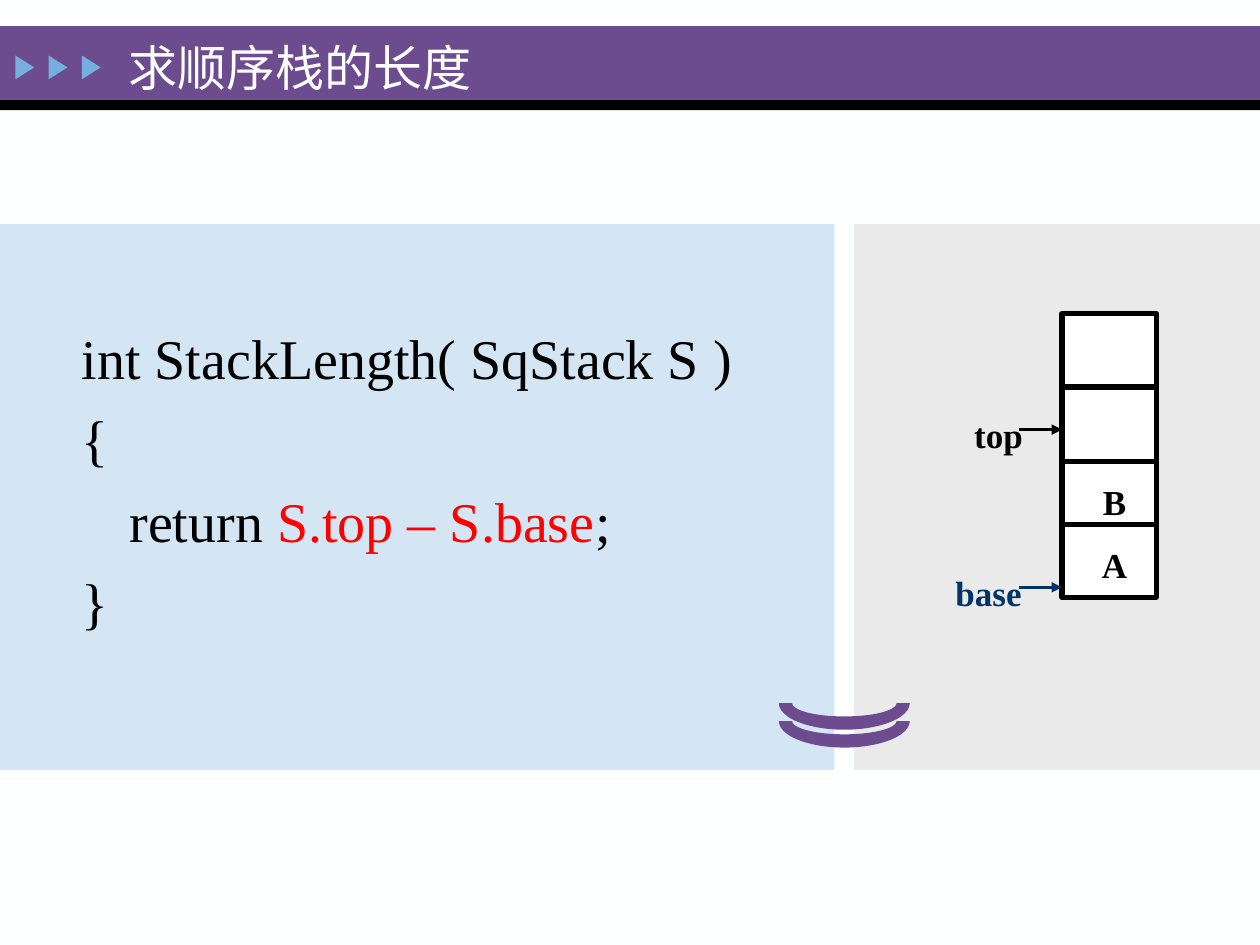
from lxml.etree import SubElement
from pptx import Presentation
from pptx.dml.color import RGBColor
from pptx.enum.shapes import MSO_CONNECTOR, MSO_SHAPE
from pptx.enum.text import MSO_ANCHOR, PP_ALIGN
from pptx.oxml.ns import qn
from pptx.util import Cm, Pt

FONT = "Times New Roman"
WHITE = RGBColor(0xFF, 0xFF, 0xFF)
PAPER = RGBColor(0xFE, 0xFF, 0xFF)
BLACK = RGBColor(0x00, 0x00, 0x00)
PURPLE = RGBColor(0x6C, 0x4C, 0x8F)
SKY = RGBColor(0x76, 0xAE, 0xDD)
PALE_BLUE = RGBColor(0xD4, 0xE6, 0xF4)
GREY = RGBColor(0xEA, 0xEA, 0xEA)
RED = RGBColor(0xFF, 0x00, 0x00)
NAVY = RGBColor(0x00, 0x33, 0x66)

# Content
TITLE = "求顺序栈的长度"
CODE = [  # (indent in cm, runs)
    (0, [("int StackLength( SqStack S )", BLACK)]),
    (0, [("{", BLACK)]),
    (0.96, [("return ", BLACK), ("S.top – S.base", RED), (";", BLACK)]),
    (0, [("}", BLACK)]),
]
SLOTS = [(1.48, ""), (1.5, ""), (1.27, "B"), (1.47, "A")]  # height in cm, element
POINTERS = [("base", NAVY, 18.24, 11.84), ("top", BLACK, 18.44, 8.66)]  # label left, arrow y

SLIDE_W, SLIDE_H = 25.4, 19.05
STACK_X, STACK_Y, STACK_W = 21.41, 6.32, 1.9
ARROW_X = 20.55

prs = Presentation()
prs.slide_width, prs.slide_height = Cm(SLIDE_W), Cm(SLIDE_H)
slide = prs.slides.add_slide(prs.slide_layouts[5])
slide.background.fill.solid()
slide.background.fill.fore_color.rgb = PAPER


def add_block(kind, x, y, w, h, color, rotation=0):
    block = slide.shapes.add_shape(kind, Cm(x), Cm(y), Cm(w), Cm(h))
    block.shadow.inherit = False
    block.fill.solid()
    block.fill.fore_color.rgb = color
    block.line.fill.background()
    block.rotation = rotation
    return block


def add_line(x1, y1, x2, y2, color, width, arrow=False):
    line = slide.shapes.add_connector(
        MSO_CONNECTOR.STRAIGHT, Cm(x1), Cm(y1), Cm(x2), Cm(y2))
    line.line.color.rgb = color
    line.line.width = Pt(width)
    if arrow:
        SubElement(line.line._get_or_add_ln(), qn("a:tailEnd"), type="triangle")
    SubElement(line._element.spPr, qn("a:effectLst"))


def add_run(paragraph, text, size, color, bold=False):
    run = paragraph.add_run()
    run.text = text
    run.font.name = FONT
    run.font.size = Pt(size)
    run.font.bold = bold
    run.font.color.rgb = color


def add_frame(x, y, w, h):
    frame = slide.shapes.add_textbox(Cm(x), Cm(y), Cm(w), Cm(h)).text_frame
    frame.word_wrap = True
    return frame


def add_label(text, x, y, w, color):
    paragraph = add_frame(x, y, w, 1.09).paragraphs[0]
    paragraph.alignment = PP_ALIGN.CENTER
    add_run(paragraph, text, 20, color, bold=True)


# Header band
add_block(MSO_SHAPE.RECTANGLE, 0, 0.53, SLIDE_W, 1.5, PURPLE)
add_block(MSO_SHAPE.RECTANGLE, 0, 2.02, SLIDE_W, 0.2, BLACK)
for i in range(3):
    add_block(MSO_SHAPE.ISOSCELES_TRIANGLE, 0.26 + 0.67 * i, 1.17, 0.48, 0.38, SKY, 90)

# Panels and the double arc that joins them
for left, width, color in [(0, 16.82, PALE_BLUE), (17.22, 8.18, GREY)]:
    add_block(MSO_SHAPE.RECTANGLE, left, 4.52, width, 11, color)
for top in (14, 13.64):
    add_block(MSO_SHAPE.BLOCK_ARC, 15.7, top, 2.64, 1.07, PURPLE, 180)

# Title, raised above the band
title = slide.shapes.title
title.left, title.top, title.width, title.height = Cm(2.34), Cm(0.71), Cm(17.78), Cm(1.27)
title.text_frame.vertical_anchor = MSO_ANCHOR.MIDDLE
heading = title.text_frame.paragraphs[0]
heading.alignment = PP_ALIGN.LEFT
add_run(heading, TITLE, 28, PAPER)
slide.shapes._spTree.append(title._element)

# Code
code = add_frame(1.4, 6.4, 14.91, 6.4)
for i, (indent, runs) in enumerate(CODE):
    paragraph = code.add_paragraph() if i else code.paragraphs[0]
    paragraph._p.get_or_add_pPr().set("marL", str(Cm(indent)))
    if i:
        paragraph.space_before = Pt(8)
    for text, color in runs:
        add_run(paragraph, text, 32, color)

# Stack with its slots
stack = add_block(MSO_SHAPE.RECTANGLE, STACK_X, STACK_Y, STACK_W,
                  sum(height for height, _ in SLOTS), WHITE)
stack.line.color.rgb = BLACK
stack.line.width = Pt(3)
slot_y = STACK_Y
for i, (height, element) in enumerate(SLOTS):
    if i:
        add_line(STACK_X, slot_y, STACK_X + STACK_W, slot_y, BLACK, 3)
    if element:
        add_label(element, STACK_X + 0.21, slot_y + 0.27, 1.7, BLACK)
    slot_y += height

# Pointers into the stack
for name, color, label_x, arrow_y in POINTERS:
    add_label(name, label_x, arrow_y - 0.44, 3.38, color)
    add_line(ARROW_X, arrow_y, STACK_X, arrow_y, color, 1.5, arrow=True)

prs.save("out.pptx")
